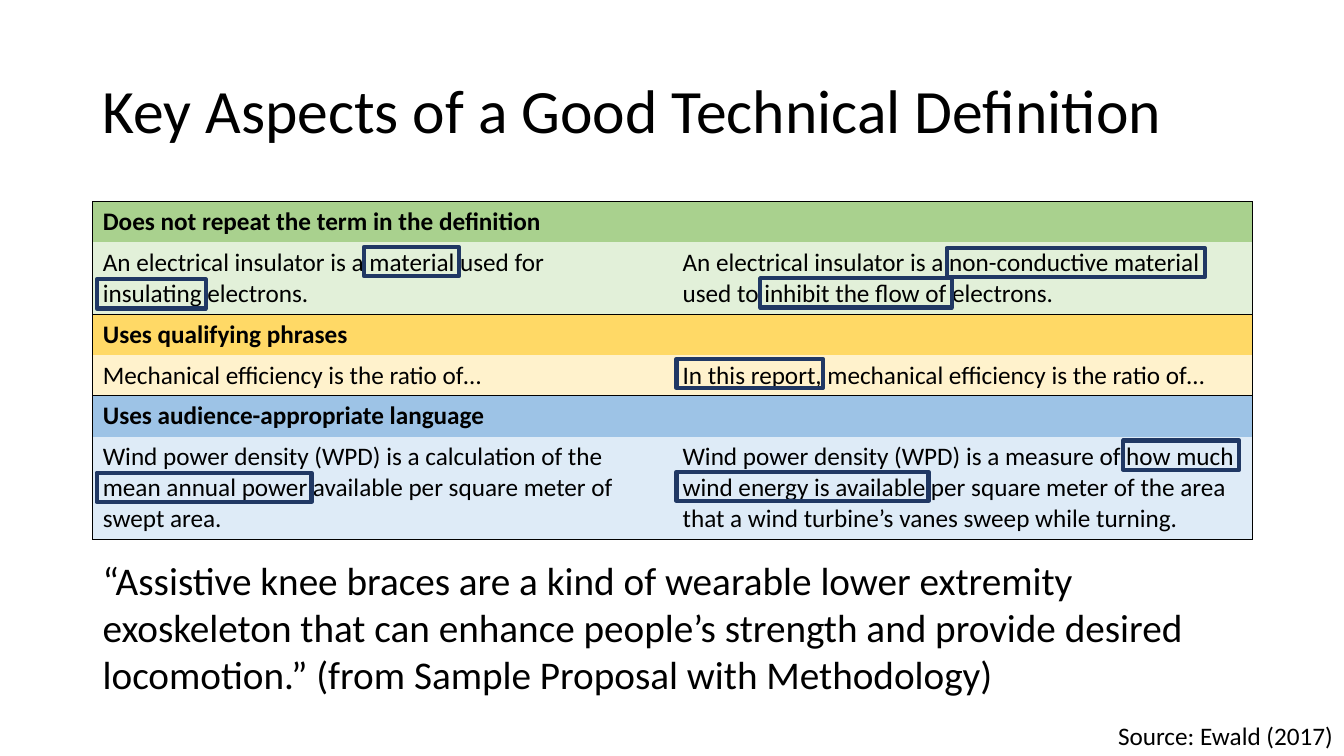
"""Build a slide on the key aspects of a good technical definition."""
from typing import NamedTuple

from lxml import etree
from pptx import Presentation, util as u
from pptx.dml.color import RGBColor
from pptx.enum import shapes, text
from pptx.oxml import ns

FONT = "Calibri"
LEFT, WIDTH = 0.92, 11.5
HUES = {
    "ink": "000000", "frame": "203864",
    "green": "A9D18E", "mint": "E2F0D9",
    "gold": "FFD966", "cream": "FFF2CC",
    "blue": "9DC3E6", "ice": "DEEBF7",
}


class Aspect(NamedTuple):
    title: str
    weak: list[str]
    strong: list[str]
    dark: str
    light: str


class Label(NamedTuple):
    words: str
    left: float
    top: float
    width: float
    height: float
    size: int
    wrap: bool = True
    middle: bool = False
    space: float = 1.0


class Frame(NamedTuple):
    left: float
    top: float
    width: float


ASPECTS = [
    Aspect("Does not repeat the term in the definition",
           ["An electrical insulator is a material used for", "insulating electrons."],
           ["An electrical insulator is a non-conductive material used to inhibit "
            "the flow of electrons."],
           "green", "mint"),
    Aspect("Uses qualifying phrases",
           ["Mechanical efficiency is the ratio of…"],
           ["In this report, mechanical efficiency is the ratio of…"],
           "gold", "cream"),
    Aspect("Uses audience-appropriate language",
           ["Wind power density (WPD) is a calculation of the mean annual power "
            "available per square meter of swept area."],
           ["Wind power density (WPD) is a measure of how much wind energy is available "
            "per square meter of the area that a wind turbine’s vanes sweep while turning."],
           "blue", "ice"),
]

LABELS = [
    Label("Key Aspects of a Good Technical Definition", LEFT, 0.4, WIDTH, 1.45, 44,
          middle=True, space=0.9),
    Label("Source: Ewald (2017)", 10.99, 7.1, 2.35, 0.4, 18, wrap=False),
    Label("“Assistive knee braces are a kind of wearable lower extremity exoskeleton that "
          "can enhance people’s strength and provide desired locomotion.” "
          "(from Sample Proposal with Methodology)", LEFT, 5.47, WIDTH, 1.51, 28),
]

FRAMES = [
    Frame(3.61, 2.45, 0.94), Frame(0.96, 2.77, 1.08),
    Frame(9.39, 2.46, 2.56), Frame(7.54, 2.76, 1.9),
    Frame(0.96, 4.69, 2.13), Frame(11.14, 4.37, 1.15),
    Frame(6.71, 4.68, 2.5), Frame(6.71, 3.56, 1.45),
]


def hue(name: str) -> RGBColor:
    return RGBColor.from_string(HUES[name])


def write(body, lines: list[str], size: int, bold: bool = False, space: float = 1.0) -> None:
    for i, line in enumerate(lines):
        para = body.add_paragraph() if i else body.paragraphs[0]
        para.line_spacing = space
        run = para.add_run()
        run.text = line
        run.font.name = FONT
        run.font.size = u.Pt(size)
        run.font.bold = bold
        run.font.color.rgb = hue("ink")


def edge(cell, sides: str) -> None:
    props = cell._tc.get_or_add_tcPr()
    for side in "LRTB":
        line = etree.SubElement(props, ns.qn(f"a:ln{side}"), w=str(u.Pt(1)))
        if side in sides:
            fill = etree.SubElement(line, ns.qn("a:solidFill"))
            etree.SubElement(fill, ns.qn("a:srgbClr"), val=HUES["ink"])
        else:
            etree.SubElement(line, ns.qn("a:noFill"))


def style(cell, sides: str, tint: str) -> None:
    edge(cell, sides)
    cell.fill.solid()
    cell.fill.fore_color.rgb = hue(tint)


def add_grid(slide, items: list[Aspect]) -> None:
    count = 2 * len(items)
    grid = slide.shapes.add_table(count, 2, u.Inches(LEFT), u.Inches(2),
                                  u.Inches(WIDTH), u.Inches(0.4 * count)).table
    grid.first_row = grid.horz_banding = False
    for i, item in enumerate(items):
        head, body = 2 * i, 2 * i + 1
        for col, (side, lines) in enumerate([("L", item.weak), ("R", item.strong)]):
            style(grid.cell(head, col), "LRT", item.dark)
            cell = grid.cell(body, col)
            style(cell, side + "B", item.light)
            write(cell.text_frame, lines, 18)
        grid.cell(head, 0).merge(grid.cell(head, 1))
        write(grid.cell(head, 0).text_frame, [item.title], 18, bold=True)


def add_label(slide, item: Label) -> None:
    box = slide.shapes.add_textbox(u.Inches(item.left), u.Inches(item.top),
                                   u.Inches(item.width), u.Inches(item.height))
    body = box.text_frame
    body.word_wrap = item.wrap
    if item.middle:
        body.vertical_anchor = text.MSO_ANCHOR.MIDDLE
    write(body, [item.words], item.size, space=item.space)


def add_frame(slide, item: Frame) -> None:
    box = slide.shapes.add_shape(shapes.MSO_SHAPE.RECTANGLE, u.Inches(item.left),
                                 u.Inches(item.top), u.Inches(item.width), u.Inches(0.29))
    box.shadow.inherit = False
    box.fill.background()
    box.line.color.rgb = hue("frame")
    box.line.width = u.Pt(3)


def main() -> None:
    deck = Presentation()
    deck.slide_width, deck.slide_height = u.Inches(13.33), u.Inches(7.5)
    slide = deck.slides.add_slide(deck.slide_layouts[6])
    add_grid(slide, ASPECTS)
    for label in LABELS:
        add_label(slide, label)
    for frame in FRAMES:
        add_frame(slide, frame)
    deck.save("out.pptx")


if __name__ == "__main__":
    main()
